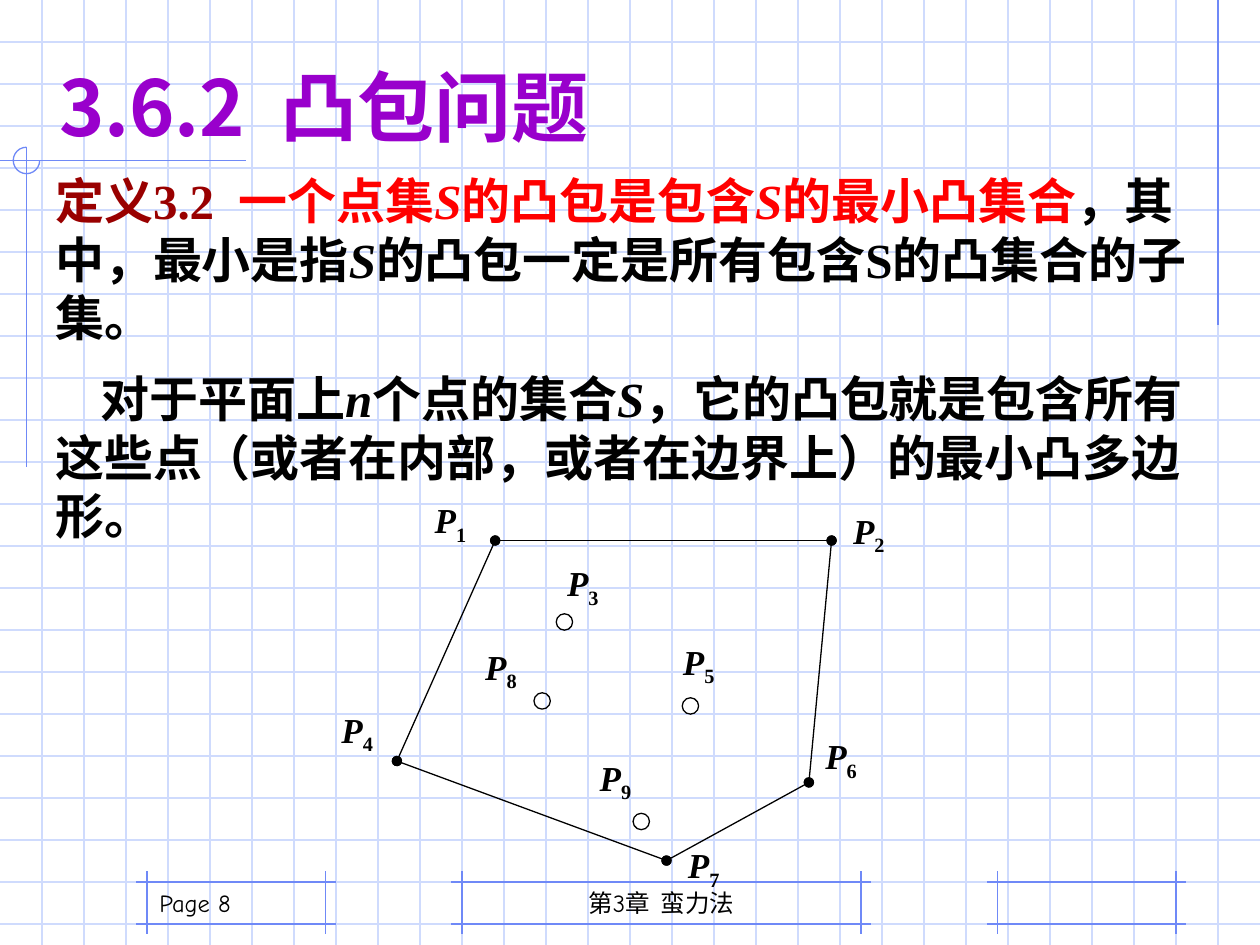
import dataclasses

import lxml.etree
import pptx
import pptx.dml.color
import pptx.enum.shapes
import pptx.enum.text
import pptx.oxml.ns
import pptx.util

Pt = pptx.util.Pt
ALIGN = pptx.enum.text.PP_ALIGN
ANCHOR = pptx.enum.text.MSO_ANCHOR
SHAPE = pptx.enum.shapes.MSO_SHAPE


@dataclasses.dataclass(frozen=True)
class Theme:
    """Colours, fonts, type sizes and line weight of the slide."""
    grid: str = "CFDBFD"
    accent: str = "6F89F7"
    ink: str = "000000"
    title: str = "9900CC"
    term: str = "990000"
    emphasis: str = "FF0000"
    han: str = "Noto Sans CJK SC"
    serif: str = "Times New Roman"
    hand: str = "Comic Neue"
    title_size: int = 44
    body_size: int = 28
    label_size: int = 20
    footer_size: int = 14
    stroke: float = 0.75


THEME = Theme()
COLUMNS, ROWS = 30, 22.5
HAN = {"name": THEME.han, "size": Pt(THEME.body_size), "bold": True}
SERIF = {**HAN, "name": THEME.serif}
SYMBOL = {**SERIF, "italic": True}
LABEL = {**SERIF, "size": Pt(THEME.label_size)}
FOOTER = {"name": THEME.hand, "size": Pt(THEME.footer_size)}
TITLE = {**HAN, "size": Pt(THEME.title_size)}

HULL = {"1": (11.79, 12.87), "2": (19.8, 12.87), "6": (19.26, 18.63),
        "7": (15.87, 20.49), "4": (9.45, 18.12)}
INNER_POINTS = [(13.44, 14.81), (12.91, 16.69), (16.44, 16.81), (15.27, 19.56)]
LABEL_CORNERS = {"1": (10.35, 11.88), "2": (20.31, 12.12), "3": (13.5, 13.38),
                 "4": (8.13, 16.86), "5": (16.26, 15.24), "6": (19.65, 17.49),
                 "7": (16.38, 20.09), "8": (11.55, 15.36), "9": (14.28, 18)}
FOOTER_FRAMES = [(3.5, 7.75), (11, 20.5), (23.75, 28)]

DEFINITION = [
    ("定义", HAN, THEME.term), ("3.2  ", SERIF, THEME.term),
    ("一个点集", HAN, THEME.emphasis), ("S", SYMBOL, THEME.emphasis),
    ("的凸包是包含", HAN, THEME.emphasis), ("S", SYMBOL, THEME.emphasis),
    ("的最小凸集合", HAN, THEME.emphasis),
    ("，其中，最小是指", HAN, THEME.ink), ("S", SYMBOL, THEME.ink),
    ("的凸包一定是所有包含", HAN, THEME.ink), ("S", SERIF, THEME.ink),
    ("的凸集合的子集。", HAN, THEME.ink)]
EXPLANATION = [
    ("对于平面上", SERIF, THEME.ink), ("n", SYMBOL, THEME.ink),
    ("个点的集合", SERIF, THEME.ink), ("S", SYMBOL, THEME.ink),
    ("，它的凸包就是包含所有这些点（或者在内部，或者在边界上）的最小凸多边形。",
     SERIF, THEME.ink)]


def cells(count):
    """Return the length of a number of grid cells."""
    return pptx.util.Inches(count / 3)


def rgb(code):
    """Return the colour for a hex code."""
    return pptx.dml.color.RGBColor.from_string(code)


def apply(target, values):
    """Set each attribute named in a dict of format values."""
    for key, value in values.items():
        setattr(target, key, value)


def add_child(parent, tag, **attributes):
    """Append a DrawingML element to a parent."""
    lxml.etree.SubElement(parent, pptx.oxml.ns.qn(tag), attributes)


def add_line(slide, start, end, color, dotted_ends=False):
    """Draw a straight line between two grid positions."""
    line = slide.shapes.add_connector(
        pptx.enum.shapes.MSO_CONNECTOR.STRAIGHT,
        *(cells(value) for value in (*start, *end)))
    line.line.color.rgb = rgb(color)
    line.line.width = Pt(THEME.stroke)
    if dotted_ends:
        for tag in ("a:headEnd", "a:tailEnd"):
            add_child(line.line._get_or_add_ln(), tag, type="oval")
    add_child(line._element.spPr, "a:effectLst")


def add_outline(slide, preset, center, diameter, color):
    """Draw an unfilled round shape about a grid position."""
    corner = [cells(value - diameter / 2) for value in center]
    outline = slide.shapes.add_shape(preset, *corner, cells(diameter), cells(diameter))
    outline.shadow.inherit = False
    outline.fill.background()
    outline.line.color.rgb = rgb(color)
    outline.line.width = Pt(THEME.stroke)
    return outline


def add_run(paragraph, words, style, color):
    """Add a run with its Latin and East Asian fonts."""
    run = paragraph.add_run()
    run.text = words
    apply(run.font, style)
    run.font.color.rgb = rgb(color)
    add_child(run._r.get_or_add_rPr(), "a:ea", typeface=THEME.han)
    return run


def add_text(slide, box, paragraphs, margins=True, anchor=ANCHOR.TOP):
    """Add a text box of (format, runs) paragraphs and return its runs."""
    frame = slide.shapes.add_textbox(*(cells(value) for value in box)).text_frame
    apply(frame, {"word_wrap": True, "vertical_anchor": anchor})
    if not margins:
        apply(frame, {f"margin_{side}": 0 for side in ("left", "top", "right", "bottom")})
    added = []
    for index, (layout, runs) in enumerate(paragraphs):
        paragraph = frame.add_paragraph() if index else frame.paragraphs[0]
        apply(paragraph, layout)
        added.append([add_run(paragraph, *run) for run in runs])
    return added


def add_grid(slide):
    """Rule the background into square cells."""
    for row in range(1, int(ROWS) + 1):
        add_line(slide, (0, row), (COLUMNS, row), THEME.grid)
    for column in range(1, COLUMNS):
        add_line(slide, (column, 0), (column, ROWS), THEME.grid)


def add_footer_frame(slide, left, right, top=21, bottom=22, overhang=0.25):
    """Draw four crossing lines around a footer field."""
    for row in (top, bottom):
        add_line(slide, (left - overhang, row), (right + overhang, row), THEME.accent)
    for column in (left, right):
        add_line(slide, (column, top - overhang), (column, bottom + overhang), THEME.accent)


def add_margin_rules(slide):
    """Draw the accent rules and the loop where they cross."""
    add_line(slide, (29, 0), (29, 7.75), THEME.accent)
    add_line(slide, (0, 3.82), (5.85, 3.82), THEME.accent)
    add_line(slide, (0.63, 3.5), (0.63, 11.12), THEME.accent)
    loop = add_outline(slide, SHAPE.ARC, (0.63, 3.82), 0.63, THEME.accent)
    loop.adjustments[0] = 0
    loop.adjustments[1] = 270 * 0.6


def add_point_label(slide, index, corner):
    """Write the letter P with a subscript index."""
    runs = [("P", {**LABEL, "italic": True}, THEME.ink), (index, LABEL, THEME.ink)]
    added = add_text(slide, (*corner, 1.05, 1.26),
                     [({"alignment": ALIGN.JUSTIFY}, runs)], margins=False)
    added[0][1]._r.get_or_add_rPr().set("baseline", "-25000")


def add_hull(slide):
    """Draw the convex hull with its inner points and labels."""
    vertices = list(HULL.values())
    for start, end in zip(vertices, vertices[1:] + vertices[:1]):
        add_line(slide, start, end, THEME.ink, dotted_ends=True)
    for center in INNER_POINTS:
        add_outline(slide, SHAPE.OVAL, center, 0.39, THEME.ink)
    for index, corner in LABEL_CORNERS.items():
        add_point_label(slide, index, corner)


def add_body(slide):
    """Write the definition and its explanation."""
    leading = {"line_spacing": Pt(33.4)}
    added = add_text(slide, (1.02, 3.93, 28.32, 9.27), [
        ({**leading, "space_after": Pt(7)}, DEFINITION),
        ({**leading, "space_before": Pt(6)}, EXPLANATION)])
    properties = added[1][0]._r.getparent().get_or_add_pPr()
    apply_indent = {"marL": 0, "indent": cells(1.08)}
    for key, value in apply_indent.items():
        properties.set(key, str(value))


def main():
    """Build the slide and save it."""
    deck = pptx.Presentation()
    apply(deck, {"slide_width": cells(COLUMNS), "slide_height": cells(ROWS)})
    slide = deck.slides.add_slide(deck.slide_layouts[6])
    add_grid(slide)
    for left, right in FOOTER_FRAMES:
        add_footer_frame(slide, left, right)
    add_margin_rules(slide)
    add_text(slide, (11, 20.5, 9.5, 1.5), [
        ({"alignment": ALIGN.CENTER}, [("第3章  蛮力法", FOOTER, THEME.ink)])],
        anchor=ANCHOR.BOTTOM)
    add_text(slide, (3.5, 20.5, 6.25, 1.5), [({}, [("Page 8", FOOTER, THEME.ink)])],
             anchor=ANCHOR.BOTTOM)
    add_body(slide)
    add_hull(slide)
    add_text(slide, (1.11, 1.11, 24.84, 2.52), [
        ({"line_spacing": Pt(56.5)}, [("3.6.2  凸包问题", TITLE, THEME.title)])])
    deck.save("out.pptx")


if __name__ == "__main__":
    main()
